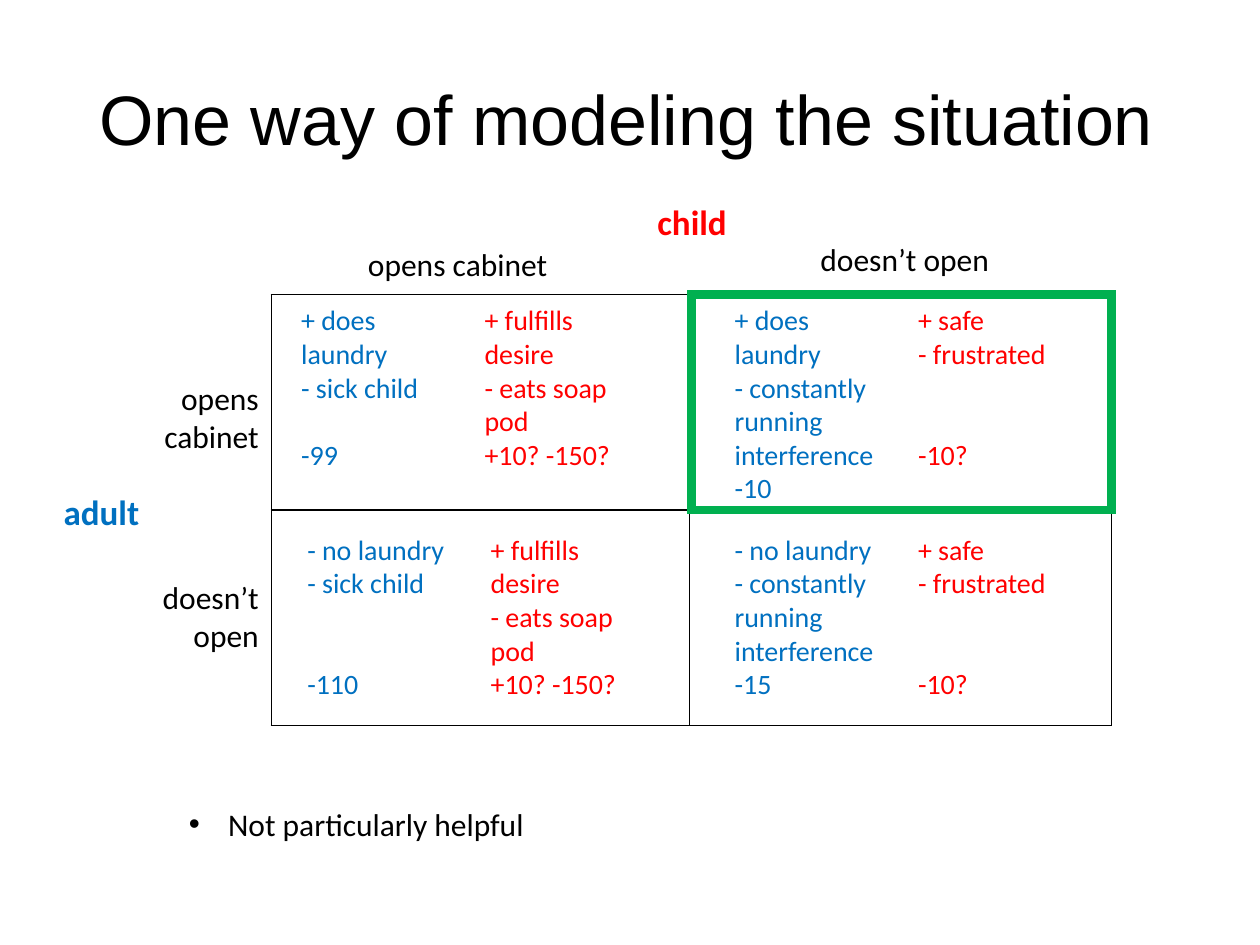
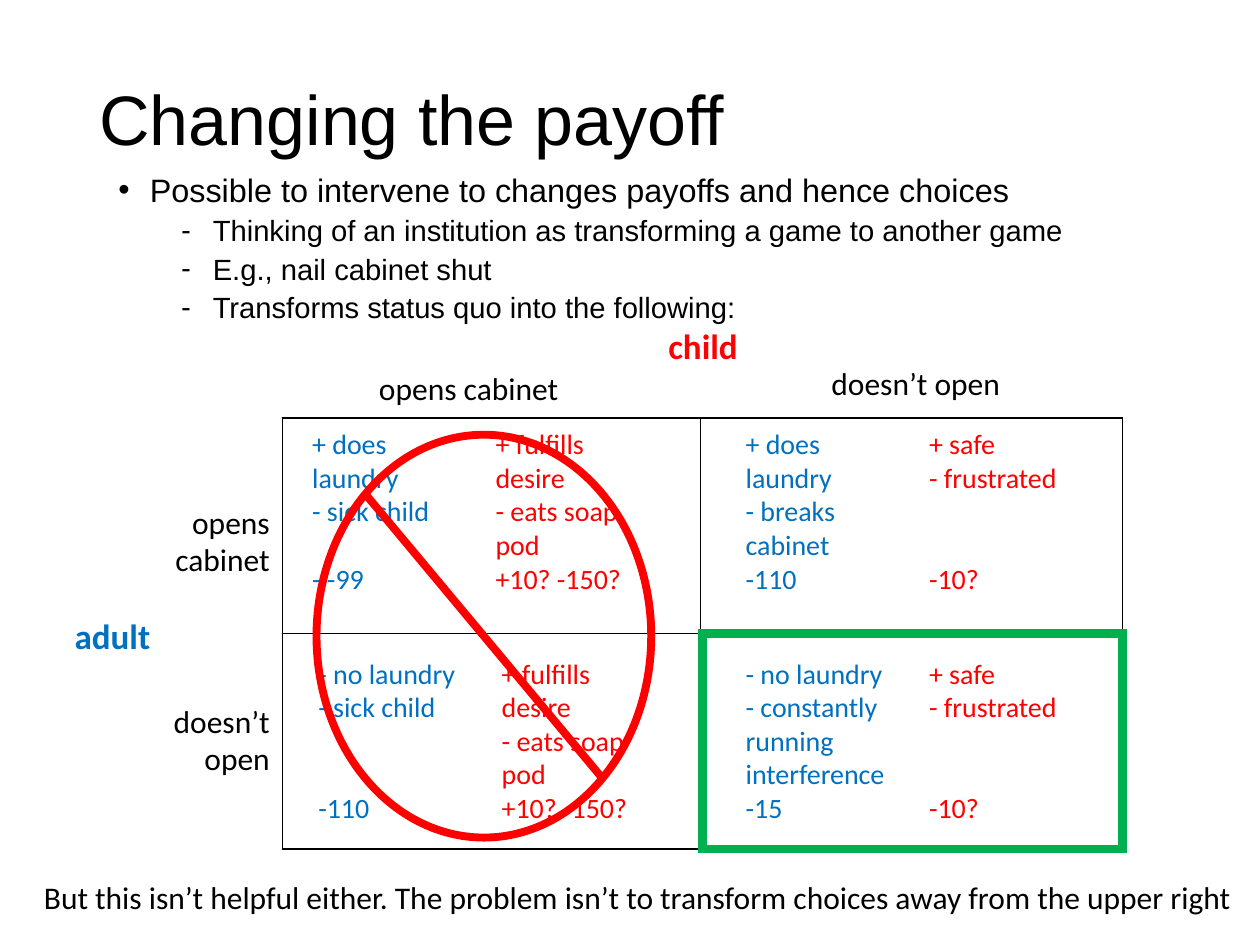
from dataclasses import dataclass

from lxml import etree
from pptx import Presentation
from pptx.dml.color import RGBColor
from pptx.enum.shapes import MSO_SHAPE
from pptx.enum.text import MSO_ANCHOR, PP_ALIGN
from pptx.oxml.ns import qn
from pptx.util import Pt

LEFT, CENTER, RIGHT = PP_ALIGN.LEFT, PP_ALIGN.CENTER, PP_ALIGN.RIGHT
MIDDLE = MSO_ANCHOR.MIDDLE
RECTANGLE, NO_SYMBOL = MSO_SHAPE.RECTANGLE, MSO_SHAPE.NO_SYMBOL


@dataclass(frozen=True)
class Theme:
    black: str = "000000"
    adult: str = "0070C0"
    child: str = "FF0000"
    highlight: str = "00B050"
    heading_font: str = "Arial"
    label_font: str = "Calibri"
    title_size: float = 40
    point_size: float = 18.5
    subpoint_size: float = 16.7
    player_size: float = 20
    label_size: float = 18
    payoff_size: float = 16
    payoff_line: float = 19.2


@dataclass(frozen=True)
class Payoff:
    reasons: tuple
    value: str
    gap: int = 0  # empty lines above the value


THEME = Theme()

# Geometry of the game matrix, relative to its top left corner
COLUMN_WIDTHS = (239, 241.2)
ROW_HEIGHT = 123.1
MATRIX_WIDTH = sum(COLUMN_WIDTHS)
PAYOFF_LEFTS = ((10, 257.7), (13.5, 257.7))
PAYOFF_TOPS = (1.3, 132.4)
CHILD_OFFSET = 104.8

# Payoffs of each player
CHILD_EATS = Payoff(("+ fulfills desire", "- eats soap pod"), "+10? -150?")
CHILD_SAFE = Payoff(("+ safe", "- frustrated"), "-10?", 2)
CHILD_ROW = (CHILD_EATS, CHILD_SAFE)
LAUNDRY_SICK = ("+ does laundry", "- sick child")
INTERFERENCE = "- constantly running interference"
ADULT_CLOSED = (
    Payoff(("- no laundry", "- sick child"), "-110", 2),
    Payoff(("- no laundry", INTERFERENCE), "-15"),
)
STATUS_QUO = (
    (Payoff(LAUNDRY_SICK, "-99", 1),
     Payoff(("+ does laundry", INTERFERENCE), "-10")),
    ADULT_CLOSED,
)
NAILED_SHUT = (
    (Payoff(LAUNDRY_SICK, "- -99", 1),
     Payoff(("+ does laundry", "- breaks cabinet"), "-110")),
    ADULT_CLOSED,
)


def style_font(paragraph, size, color=THEME.black, name=THEME.label_font, bold=False):
    font = paragraph.font
    font.size = Pt(size)
    font.name = name
    font.bold = bold
    font.color.rgb = RGBColor.from_string(color)


def add_bullet(paragraph, character, left, hanging):
    properties = paragraph._p.get_or_add_pPr()
    properties.set("marL", str(Pt(left)))
    properties.set("indent", str(-Pt(hanging)))
    etree.SubElement(properties, qn("a:buFont")).set("typeface", THEME.heading_font)
    etree.SubElement(properties, qn("a:buChar")).set("char", character)


def add_paragraphs(slide, box, lines, wrap=True):
    """Add a text box and return its frame and one paragraph per line."""
    frame = slide.shapes.add_textbox(*map(Pt, box)).text_frame
    frame.word_wrap = wrap
    paragraphs = []
    for index, line in enumerate(lines):
        paragraph = frame.add_paragraph() if index else frame.paragraphs[0]
        paragraph.text = line
        paragraphs.append(paragraph)
    return frame, paragraphs


def add_title(slide, text):
    frame, (paragraph,) = add_paragraphs(slide, (49.7, 28.8, 620.6, 82.8), [text])
    frame.vertical_anchor = MIDDLE
    paragraph.line_spacing = 0.9
    style_font(paragraph, THEME.title_size, name=THEME.heading_font)


def add_label(slide, box, text, align=LEFT, size=THEME.label_size,
              color=THEME.black, bold=False, bullet=None):
    _, (paragraph,) = add_paragraphs(slide, box, [text], wrap=False)
    paragraph.alignment = align
    if bullet:
        add_bullet(paragraph, bullet, 22.5, 22.5)
    style_font(paragraph, size, color, bold=bold)


def add_outline(slide, point, subpoints):
    _, paragraphs = add_paragraphs(slide, (60.5, 96, 620.6, 98), [point, *subpoints])
    for index, paragraph in enumerate(paragraphs):
        paragraph.line_spacing = 0.9
        paragraph.space_after = Pt(4)
        if index:
            paragraph.level = 1
            add_bullet(paragraph, "⁃", 54, 18)
            size = THEME.subpoint_size
        else:
            add_bullet(paragraph, "•", 18, 18)
            size = THEME.point_size
        style_font(paragraph, size, name=THEME.heading_font)


def add_payoff(slide, left, top, payoff, color):
    _, paragraphs = add_paragraphs(
        slide, (left, top, 95, 104.4), [*payoff.reasons, payoff.value])
    if payoff.gap:
        paragraphs[-1].space_before = Pt(payoff.gap * THEME.payoff_line)
    for paragraph in paragraphs:
        style_font(paragraph, THEME.payoff_size, color)


def set_borders(cell, color, width):
    properties = cell._tc.get_or_add_tcPr()
    for position, side in enumerate(("lnL", "lnR", "lnT", "lnB")):
        line = etree.Element(qn(f"a:{side}"), w=str(Pt(width)))
        fill = etree.SubElement(line, qn("a:solidFill"))
        etree.SubElement(fill, qn("a:srgbClr")).set("val", color)
        properties.insert(position, line)


def add_grid(slide, left, top):
    table = slide.shapes.add_table(
        2, 2, Pt(left), Pt(top), Pt(MATRIX_WIDTH), Pt(2 * ROW_HEIGHT)).table
    table.first_row = table.horz_banding = False
    for column, width in zip(table.columns, COLUMN_WIDTHS):
        column.width = Pt(width)
    for row in table.rows:
        row.height = Pt(ROW_HEIGHT)
    for cell in table.iter_cells():
        cell.fill.background()
        set_borders(cell, THEME.black, 1)


def add_highlight(slide, left, top):
    frame = slide.shapes.add_shape(
        RECTANGLE, Pt(left), Pt(top), Pt(MATRIX_WIDTH / 2), Pt(ROW_HEIGHT))
    frame.shadow.inherit = False
    frame.fill.background()
    frame.line.color.rgb = RGBColor.from_string(THEME.highlight)
    frame.line.width = Pt(5)
    etree.SubElement(frame.line._ln, qn("a:miter")).set("lim", "800000")


def add_matrix(slide, left, top, adult_payoffs, highlighted_row):
    """Draw the two-player game and frame the outcome in the right column."""
    add_grid(slide, left, top)

    # Player names
    add_label(slide, (left + 213, top - 57, 55, 31.7), "child", CENTER,
              THEME.player_size, THEME.child, bold=True)
    add_label(slide, (left - 126, top + 108.7, 58, 31.7), "adult", CENTER,
              THEME.player_size, THEME.adult, bold=True)

    # Choices of the adult (rows) and the child (columns)
    for text, y in (("opens\ncabinet", 44.6), ("doesn’t\nopen", 158.4)):
        add_label(slide, (left - 70, top + y, 70, 51), text, RIGHT)
    for text, x, y, width in (("opens cabinet", 47.5, -31.8, 118),
                              ("doesn’t open", 306, -34.8, 112)):
        add_label(slide, (left + x, top + y, width, 29), text, CENTER)

    # Payoffs
    for adult_row, lefts, y in zip(adult_payoffs, PAYOFF_LEFTS, PAYOFF_TOPS):
        for adult, child, x in zip(adult_row, CHILD_ROW, lefts):
            add_payoff(slide, left + x, top + y, adult, THEME.adult)
            add_payoff(slide, left + x + CHILD_OFFSET, top + y, child, THEME.child)

    add_highlight(slide, left + MATRIX_WIDTH / 2, top + highlighted_row * ROW_HEIGHT)


def add_prohibition(slide, box):
    sign = slide.shapes.add_shape(NO_SYMBOL, *map(Pt, box))
    sign.adjustments[0] = 0.023
    sign.shadow.inherit = False
    sign.fill.solid()
    sign.fill.fore_color.rgb = RGBColor.from_string(THEME.child)
    sign.line.fill.background()


def build_model_slide(slide):
    add_title(slide, "One way of modeling the situation")
    add_matrix(slide, 155, 168.3, STATUS_QUO, highlighted_row=0)
    add_label(slide, (100.8, 456.5, 208, 29), "Not particularly helpful", bullet="•")


def build_payoff_slide(slide):
    add_title(slide, "Changing the payoff")
    add_outline(slide, "Possible to intervene to changes payoffs and hence choices", [
        "Thinking of an institution as transforming a game to another game",
        "E.g., nail cabinet shut",
        "Transforms status quo into the following:",
    ])
    add_matrix(slide, 161.3, 239, NAILED_SHUT, highlighted_row=1)
    add_prohibition(slide, (178.6, 246.2, 195.8, 234.7))
    add_label(slide, (18, 498.2, 697, 29),
              "But this isn’t helpful either. The problem isn’t to transform "
              "choices away from the upper right")


def main():
    presentation = Presentation()
    presentation.slide_width, presentation.slide_height = Pt(720), Pt(540)
    blank = presentation.slide_layouts[6]
    for build in (build_model_slide, build_payoff_slide):
        build(presentation.slides.add_slide(blank))
    presentation.save("out.pptx")


if __name__ == "__main__":
    main()
